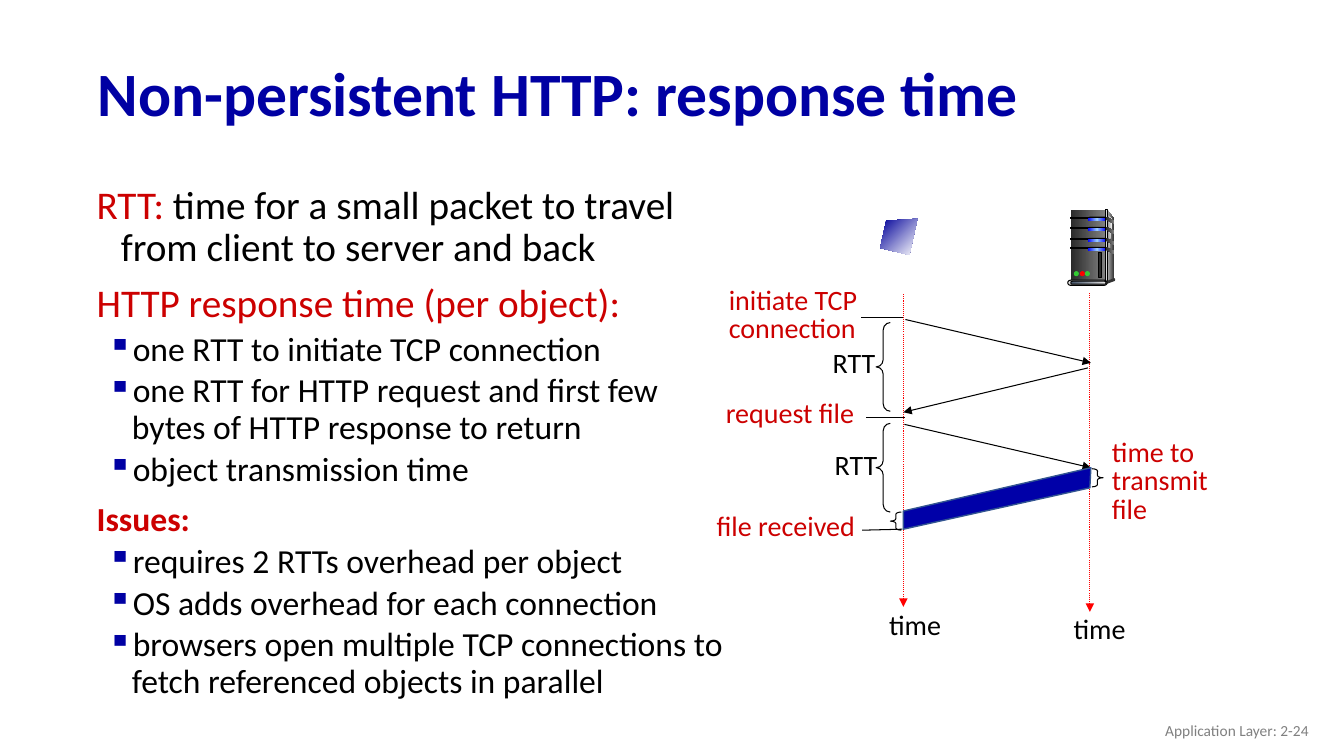
from copy import deepcopy

from lxml import etree
from pptx import Presentation
from pptx.dml.color import RGBColor
from pptx.enum.dml import MSO_LINE
from pptx.enum.shapes import MSO_CONNECTOR, MSO_SHAPE
from pptx.enum.text import MSO_ANCHOR, MSO_AUTO_SIZE, PP_ALIGN
from pptx.oxml.ns import qn
from pptx.util import Inches, Pt

RECT, ROUND, OVAL = MSO_SHAPE.RECTANGLE, MSO_SHAPE.ROUNDED_RECTANGLE, MSO_SHAPE.OVAL
LEFT_BRACE, RIGHT_BRACE = MSO_SHAPE.LEFT_BRACE, MSO_SHAPE.RIGHT_BRACE
STRAIGHT, DOTTED = MSO_CONNECTOR.STRAIGHT, MSO_LINE.ROUND_DOT
TOP, MIDDLE = MSO_ANCHOR.TOP, MSO_ANCHOR.MIDDLE
LEFT, RIGHT = PP_ALIGN.LEFT, PP_ALIGN.RIGHT
GROW = MSO_AUTO_SIZE.SHAPE_TO_FIT_TEXT

BLACK = RGBColor(0, 0, 0)
WHITE = RGBColor(0xFF, 0xFF, 0xFF)
NAVY = RGBColor(0, 0, 0xA3)
CRIMSON = RGBColor(0xCC, 0, 0)
RED = RGBColor(0xFF, 0, 0)
GRAY = RGBColor(0x80, 0x80, 0x80)
FILE_BLUE = RGBColor(0, 0, 0xA8)
FILE_EDGE = RGBColor(0x32, 0x54, 0x91)
SCREEN_BLUE = RGBColor(0, 0, 0x99)
BLUE = RGBColor(0, 0, 0xFF)
SKY = RGBColor(0x99, 0xCC, 0xFF)
GREEN = RGBColor(0x33, 0xCC, 0x33)
CHARCOAL = RGBColor(0x29, 0x29, 0x29)
DARK = RGBColor(0x33, 0x33, 0x33)
LIGHT = RGBColor(0xDD, 0xDD, 0xDD)
PALE = RGBColor(0xF8, 0xF8, 0xF8)
SLATE = RGBColor(0x44, 0x54, 0x6A)
CLOUD = RGBColor(0xE7, 0xE6, 0xE6)

BAY_TOPS = (2.15, 2.25, 2.36, 2.45)
LEDS = ((10.65, GREEN), (10.71, RED), (10.76, GREEN))

# Body: (level, runs of text, colour, bold); level 1 has a square bullet
BODY = [
    (0, [("RTT:", CRIMSON, False),
         (" time for a small packet to travel from client to server and back", BLACK, False)]),
    (0, [("HTTP response time (per object):", CRIMSON, False)]),
    (1, [("one RTT to initiate TCP connection", BLACK, False)]),
    (1, [("one RTT for HTTP request and first few bytes of HTTP response to return", BLACK, False)]),
    (1, [("object transmission time", BLACK, False)]),
    (0, [("Issues:", CRIMSON, True)]),
    (1, [("requires 2 RTTs overhead per object", BLACK, False)]),
    (1, [("OS adds overhead for each connection", BLACK, False)]),
    (1, [("browsers open multiple TCP connections to fetch referenced objects in parallel", BLACK, False)]),
]

# Diagram labels: box, lines, colour, wrap, line spacing
LABELS = [
    ((10.93, 4.31, 1.23, 0.96), ["time to", "transmit", "file"], CRIMSON, False, 0.85),
    ((7.13, 2.8, 1.49, 0.68), ["initiate TCP", "connection"], CRIMSON, False, 0.85),
    ((8.16, 3.43, 0.63, 0.39), ["RTT"], BLACK, False, 0.85),
    ((7.1, 3.93, 2.15, 0.39), ["request file"], CRIMSON, True, 0.85),
    ((8.18, 4.44, 0.63, 0.39), ["RTT"], BLACK, False, 0.85),
    ((7.01, 5.05, 1.8, 0.39), ["file received"], CRIMSON, True, 0.85),
    ((8.72, 6.03, 0.73, 0.39), ["time"], BLACK, False, 0.85),
    ((10.55, 6.02, 0.73, 0.44), ["time"], BLACK, False, 1.0),
]


def add_box(shapes, box, anchor=TOP, wrap=True):
    tf = shapes.add_textbox(*map(Inches, box)).text_frame
    tf.word_wrap = wrap
    tf.vertical_anchor = anchor
    return tf


def add_run(p, text, **font):
    r = p.add_run()
    r.text = text
    r.font.name = "Calibri"
    r.font.color.rgb = font.pop("color")
    for name, value in font.items():
        setattr(r.font, name, value)


def add_label(shapes, box, lines, color, wrap=True, spacing=1.0, size=20,
              anchor=TOP, align=LEFT, bold=False, grow=True):
    tf = add_box(shapes, box, anchor, wrap)
    if grow:
        tf.auto_size = GROW
    for i, line in enumerate(lines):
        p = tf.add_paragraph() if i else tf.paragraphs[0]
        p.alignment, p.line_spacing = align, spacing
        add_run(p, line, size=Pt(size), color=color, bold=bold)


def add_bullet(p):
    pPr = p._p.get_or_add_pPr()
    color = etree.SubElement(pPr, qn("a:buClr"))
    etree.SubElement(color, qn("a:srgbClr"), val=str(NAVY))
    etree.SubElement(pPr, qn("a:buChar"), char="▪")


def add_body(shapes):
    tf = add_box(shapes, (0.71, 1.79, 6.61, 3.65))
    for i, (level, runs) in enumerate(BODY):
        p = tf.add_paragraph() if i else tf.paragraphs[0]
        p.line_spacing = 0.9
        if i:
            p.space_before = Pt(4 if level else 10)
        pPr = p._p.get_or_add_pPr()
        pPr.set("marL", str(Inches(0.5 if level else 0.39)))
        pPr.set("indent", str(Inches(-0.24)))
        if level:
            add_bullet(p)
        for text, color, bold in runs:
            size = 24 if level or bold else 28
            add_run(p, text, size=Pt(size), color=color, bold=bold)


def paint(s, fill, line=None, width=0.75, angle=0):
    """Fill is None, one colour, or a list of evenly spaced gradient colours."""
    s.shadow.inherit = False
    if fill is None:
        s.fill.background()
    elif isinstance(fill, list):
        s.fill.gradient()
        s.fill.gradient_angle = angle
        if len(fill) == 3:
            first = s._element.spPr.find(".//" + qn("a:gs"))
            first.addnext(deepcopy(first))
        for i, (stop, color) in enumerate(zip(s.fill.gradient_stops, fill)):
            stop.position = i / (len(fill) - 1)
            stop.color.rgb = color
    else:
        s.fill.solid()
        s.fill.fore_color.rgb = fill
    if line is None:
        s.line.fill.background()
    else:
        s.line.color.rgb = line
        s.line.width = Pt(width)


def add_preset(shapes, kind, box, fill=None, line=None, adj=None):
    s = shapes.add_shape(kind, *map(Inches, box))
    if kind == ROUND:
        adj = 0.5
    if adj is not None:
        s.adjustments[0] = adj
    paint(s, fill, line)


def add_polygon(shapes, points, fill, **style):
    start, *rest = [(Inches(x), Inches(y)) for x, y in points]
    builder = shapes.build_freeform(*start)
    builder.add_line_segments(rest, close=True)
    paint(builder.convert_to_shape(), fill, **style)


def add_line(shapes, start, end, color=BLACK, dash=None, arrow=False):
    s = shapes.add_connector(STRAIGHT, *map(Inches, start + end))
    s.line.color.rgb = color
    s.line.width = Pt(0.75)
    if dash:
        s.line.dash_style = dash
    if arrow:
        etree.SubElement(s.line._get_or_add_ln(), qn("a:tailEnd"), type="triangle")
    etree.SubElement(s._element.spPr, qn("a:effectLst"))


def add_server(shapes):
    g = shapes.add_group_shape().shapes
    # Case: side, front and side highlight
    add_polygon(g, [(10.98, 2.08), (11.05, 2.17), (11.05, 2.76), (10.96, 2.79)], [LIGHT, DARK])
    add_preset(g, RECT, (10.62, 2.08, 0.34, 0.71), [CHARCOAL, GRAY])
    add_polygon(g, [(10.98, 2.12), (11.03, 2.18), (11, 2.45), (10.98, 2.77)], [GRAY, PALE])
    # Drive bays
    for y in BAY_TOPS:
        add_preset(g, RECT, (10.62, y + 0.01, 0.19, 0.01), BLACK, BLACK)
        add_preset(g, ROUND, (10.79, y, 0.19, 0.04), BLACK)
        add_preset(g, ROUND, (10.79, y + 0.01, 0.18, 0.03), [BLUE, SKY, BLUE])
    # Spine and side vents
    add_preset(g, RECT, (10.96, 2.08, 0.02, 0.72), [DARK, LIGHT, DARK], BLACK)
    for y in BAY_TOPS:
        add_polygon(g, [(10.97, y), (11.05, y + 0.04), (11.05, y + 0.07), (10.97, y + 0.03)],
                    [CHARCOAL, GRAY])
    # Base, lights and slot
    add_preset(g, OVAL, (11.04, 2.76, 0.02, 0.03), DARK)
    add_polygon(g, [(10.97, 2.79), (10.97, 2.82), (11.05, 2.79), (11.05, 2.76)], DARK)
    add_preset(g, ROUND, (10.59, 2.78, 0.39, 0.05), LIGHT, BLACK)
    add_preset(g, ROUND, (10.62, 2.79, 0.35, 0.03), [SLATE, CLOUD], BLACK)
    for x, color in LEDS:
        add_preset(g, OVAL, (x, 2.69, 0.05, 0.05), color)
    add_preset(g, RECT, (10.9, 2.51, 0.03, 0.24), CHARCOAL, BLACK)


def add_timeline(shapes):
    # Time axes of client and server
    for x, top, bottom in ((8.96, 2.92, 6.02), (10.81, 2.91, 6.07)):
        add_line(shapes, (x, top), (x, bottom), RED, DOTTED, True)
    # Messages
    for start, end in (((8.98, 3.17), (10.82, 3.6)), ((10.79, 3.65), (8.96, 4.09)),
                       ((8.97, 4.21), (10.82, 4.64))):
        add_line(shapes, start, end, arrow=True)
    # Event ticks
    for start, end in (((8.54, 3.15), (8.96, 3.15)), ((8.59, 4.14), (8.98, 4.14)),
                       ((8.95, 5.25), (8.55, 5.26))):
        add_line(shapes, start, end)
    # Braces for the two RTTs and the file transmission
    for y in (3.2, 4.2):
        add_preset(shapes, LEFT_BRACE, (8.69, y, 0.14, 0.88), None, BLACK, 0.521)
    add_preset(shapes, RIGHT_BRACE, (10.83, 4.65, 0.11, 0.18), None, BLACK, 0.204)
    for label in LABELS:
        add_label(shapes, *label)
    # Client screen, server and the file in transit
    add_server(shapes)
    add_polygon(shapes, [(9.1, 2.17), (8.79, 2.19), (8.73, 2.46), (9.02, 2.53)],
                [SCREEN_BLUE, WHITE], angle=315)
    add_polygon(shapes, [(8.96, 5.07), (10.82, 4.64), (10.81, 4.84), (8.96, 5.25)],
                FILE_BLUE, line=FILE_EDGE, width=1)
    add_preset(shapes, LEFT_BRACE, (8.83, 5.08, 0.11, 0.18), None, BLACK, 0.204)


def main():
    prs = Presentation()
    prs.slide_width, prs.slide_height = Inches(13.33), Inches(7.5)
    shapes = prs.slides.add_slide(prs.slide_layouts[6]).shapes
    add_label(shapes, (0.87, 0.47, 11.5, 0.98), ["Non-persistent HTTP: response time"], NAVY,
              spacing=0.9, size=44, anchor=MIDDLE, bold=True, grow=False)
    add_label(shapes, (10.08, 7.05, 3, 0.4), ["Application Layer: 2-24"], GRAY,
              size=11, anchor=MIDDLE, align=RIGHT, grow=False)
    add_body(shapes)
    add_timeline(shapes)
    prs.save("out.pptx")


if __name__ == "__main__":
    main()
